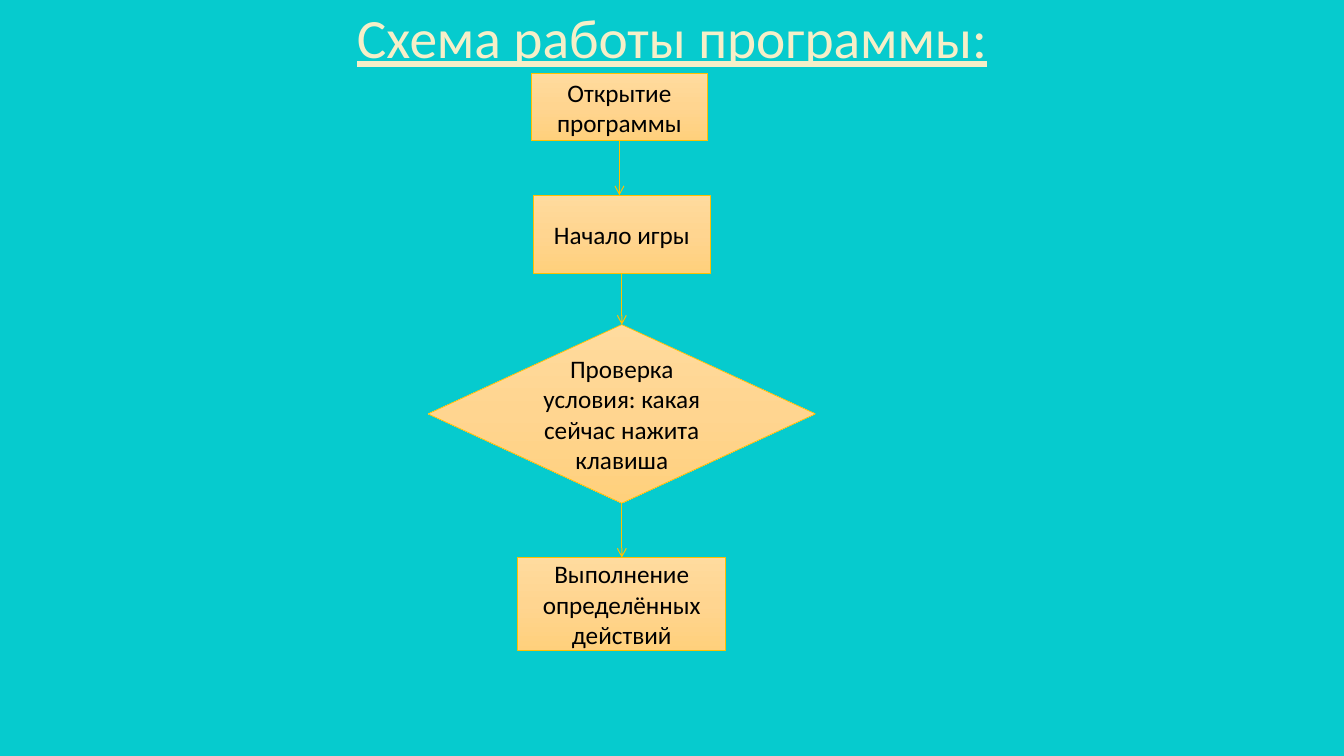
from dataclasses import dataclass
from copy import deepcopy

from lxml.etree import SubElement
from pptx import Presentation
from pptx.dml.color import RGBColor
from pptx.enum.shapes import MSO_CONNECTOR, MSO_SHAPE
from pptx.enum.text import MSO_ANCHOR, MSO_AUTO_SIZE, PP_ALIGN
from pptx.oxml.ns import qn
from pptx.util import Cm, Pt


@dataclass(frozen=True)
class Theme:
    font: str = "Calibri"
    background: str = "06CBCE"
    title_color: str = "F6EFC8"
    step_text: str = "000000"
    accent: str = "FFC000"
    step_gradient: tuple = ((0, "FFDB9E"), (0.5, "FFD590"), (1, "FFD07C"))
    title_size: float = 39.6
    step_size: float = 18
    outline: float = 0.5
    arrow_width: float = 0.75


class Flowchart:
    def __init__(self, slide, theme):
        self.slide = slide
        self.theme = theme
        backdrop = slide.background.fill
        backdrop.solid()
        backdrop.fore_color.rgb = RGBColor.from_string(theme.background)

    def set_label(self, frame, text, size, color):
        """Fill a text frame with one centred paragraph and return it."""
        frame.text = text
        frame.word_wrap = True
        frame.auto_size = MSO_AUTO_SIZE.NONE
        frame.vertical_anchor = MSO_ANCHOR.MIDDLE
        paragraph = frame.paragraphs[0]
        paragraph.alignment = PP_ALIGN.CENTER
        font = paragraph.runs[0].font
        font.name = self.theme.font
        font.size = Pt(size)
        font.color.rgb = RGBColor.from_string(color)
        return paragraph

    def title(self, text, left, top, width, height):
        heading = self.slide.shapes.title
        heading.left, heading.top = Cm(left), Cm(top)
        heading.width, heading.height = Cm(width), Cm(height)
        paragraph = self.set_label(heading.text_frame, text,
                                   self.theme.title_size, self.theme.title_color)
        paragraph.line_spacing = 0.9
        paragraph.runs[0].font.underline = True

    def paint_gradient(self, node):
        node.fill.gradient()
        node.fill.gradient_angle = 270
        stop_list = node._element.spPr.find(qn("a:gradFill")).find(qn("a:gsLst"))
        stop_list.insert(1, deepcopy(stop_list[0]))
        for stop, (position, color) in zip(node.fill.gradient_stops,
                                           self.theme.step_gradient):
            stop.position = position
            stop.color.rgb = RGBColor.from_string(color)

    def step(self, text, outline, center, top, width, height):
        node = self.slide.shapes.add_shape(
            outline, Cm(center) - Cm(width) // 2, Cm(top), Cm(width), Cm(height))
        node.shadow.inherit = False
        self.paint_gradient(node)
        node.line.color.rgb = RGBColor.from_string(self.theme.accent)
        node.line.width = Pt(self.theme.outline)
        self.set_label(node.text_frame, text, self.theme.step_size, self.theme.step_text)
        return node

    def arrow(self, upper, lower):
        """Drop a vertical arrow, joined to the lower step if the two are aligned."""
        center = upper.left + upper.width // 2
        link = self.slide.shapes.add_connector(
            MSO_CONNECTOR.STRAIGHT, center, upper.top + upper.height, center, lower.top)
        link.begin_connect(upper, 2)
        if center == lower.left + lower.width // 2:
            link.end_connect(lower, 0)
        link.line.color.rgb = RGBColor.from_string(self.theme.accent)
        link.line.width = Pt(self.theme.arrow_width)
        properties = link._element.spPr
        SubElement(properties.find(qn("a:ln")), qn("a:tailEnd"), type="arrow")
        SubElement(properties, qn("a:effectLst"))


STEPS = (
    ("Открытие программы", MSO_SHAPE.RECTANGLE, 15.61, 1.85, 4.45, 1.7),
    ("Начало игры", MSO_SHAPE.RECTANGLE, 15.67, 4.92, 4.45, 1.96),
    ("Проверка условия: какая сейчас нажита клавиша", MSO_SHAPE.DIAMOND,
     15.67, 8.18, 9.76, 4.5),
    ("Выполнение определённых действий", MSO_SHAPE.RECTANGLE, 15.67, 14.05, 5.24, 2.34),
)


def main():
    deck = Presentation()
    deck.slide_width, deck.slide_height = Cm(33.87), Cm(19.05)
    chart = Flowchart(deck.slides.add_slide(deck.slide_layouts[5]), Theme())
    chart.title("Схема работы программы:", 2.33, 0.18, 29.21, 1.68)
    nodes = [chart.step(*step) for step in STEPS]
    for upper, lower in zip(nodes, nodes[1:]):
        chart.arrow(upper, lower)
    deck.save("out.pptx")


if __name__ == "__main__":
    main()
